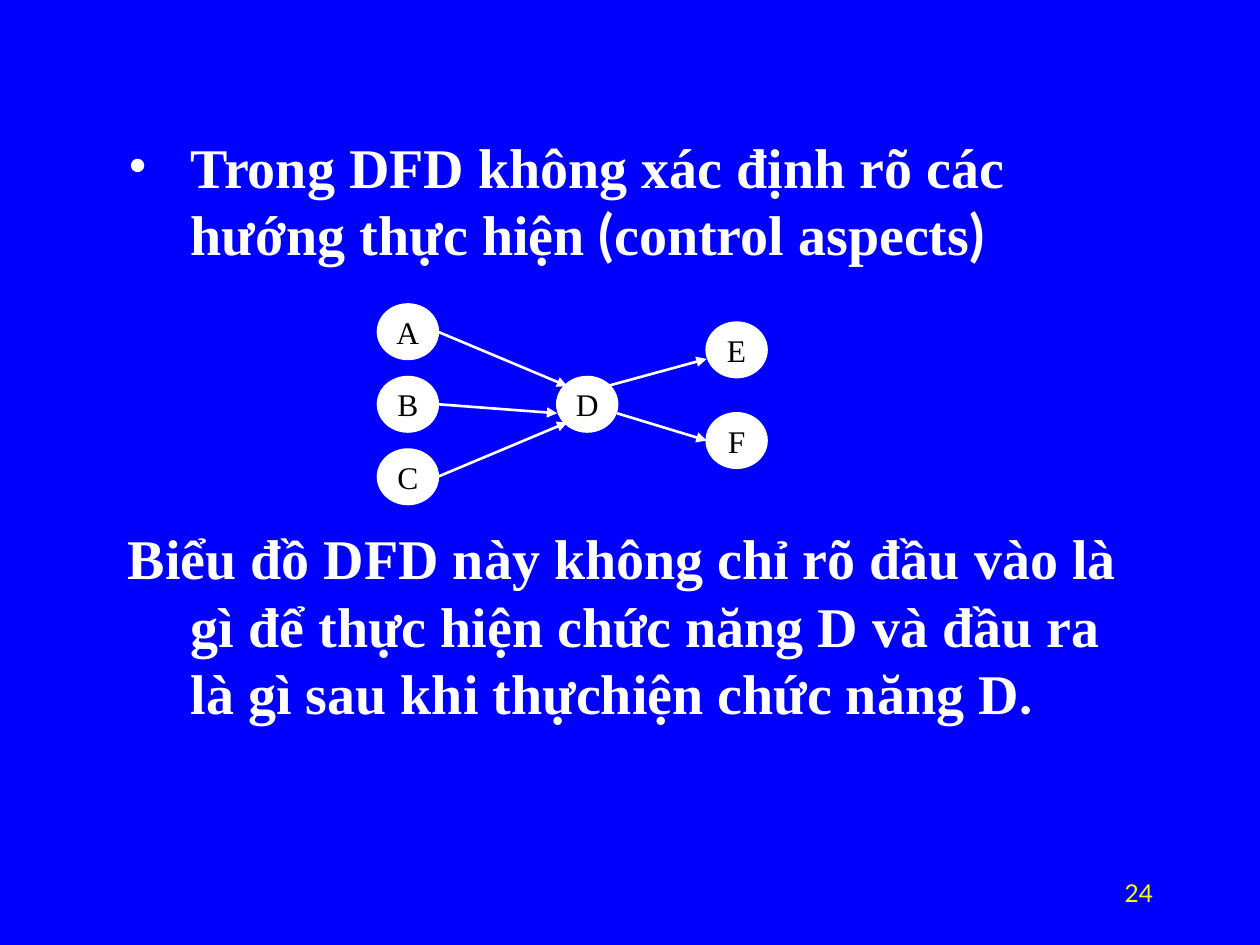
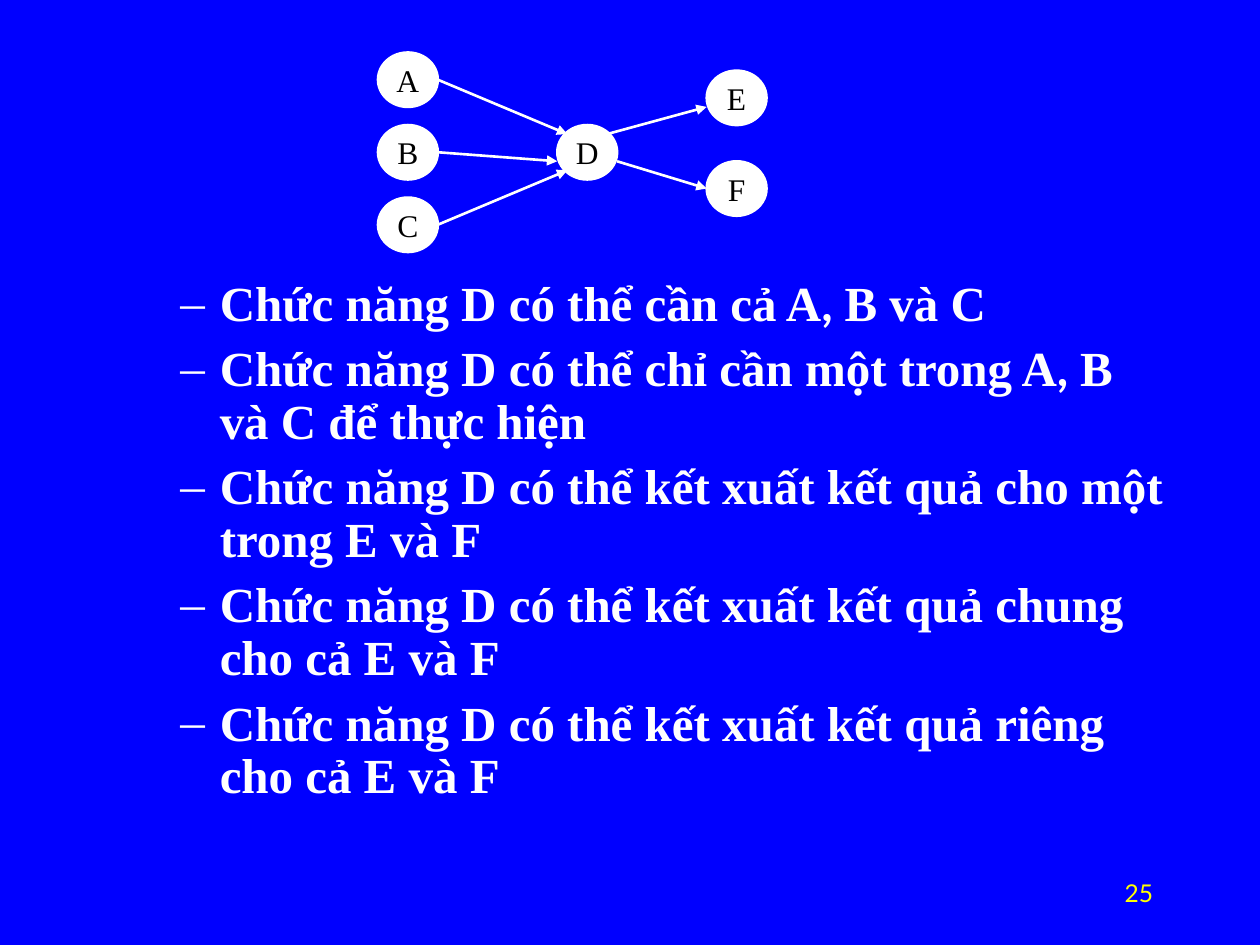
import pptx
import pptx.util
import pptx.dml.color
import pptx.enum.shapes
import pptx.enum.text
import pptx.oxml.ns
import lxml.etree

BLUE = pptx.dml.color.RGBColor(0x00, 0x00, 0xFF)
WHITE = pptx.dml.color.RGBColor(0xFF, 0xFF, 0xFF)
BLACK = pptx.dml.color.RGBColor(0x00, 0x00, 0x00)
YELLOW = pptx.dml.color.RGBColor(0xFF, 0xFF, 0x00)
SERIF, SANS = "Times New Roman", "Lato"
ALIGN = pptx.enum.text.PP_ALIGN

# The slide is a grid of 120 columns and 90 rows of square cells
CELL = pptx.util.Inches(10) // 120
COLUMNS, ROWS = 120, 90
NUMBER_BOX = (86, 83, 25, 4)
DIAGRAM_SIZE = (37, 19)

# The diagram has its own grid of 26 columns and 11 rows
DIAGRAM_COLUMNS, DIAGRAM_ROWS = 26, 11
NODE_COLUMNS, NODE_ROWS = 4, 3
NODES = {"A": (0, 0), "B": (0, 4), "C": (0, 8), "D": (12, 4), "F": (22, 6), "E": (22, 1)}
FLOWS = [
    ((4, 1.5), (12.67, 4.5)),   # A to D
    ((16, 6), (22, 7.5)),       # D to F
    ((4, 5.5), (12, 6)),        # B to D
    ((15.33, 4.5), (22, 3)),    # D to E
    ((4, 9.5), (12.67, 6.5)),   # C to D
]


def cells(*counts):
    return [pptx.util.Emu(round(count * CELL)) for count in counts]


def add_element(parent, tag, **attributes):
    element = lxml.etree.SubElement(parent, pptx.oxml.ns.qn(tag))
    for name, value in attributes.items():
        element.set(name, value)
    return element


def write_text(paragraph, runs, size, color, bold=False, align=None, level=0, indent=None,
               hanging=0, before=None, spacing=None, bullet=None):
    """Write (text, font) runs into a paragraph; indents are in cells."""
    paragraph.level = level
    paragraph.alignment = align
    if spacing is not None:
        paragraph.line_spacing = spacing
    if before is not None:
        paragraph.space_before = pptx.util.Pt(before)
    properties = paragraph._p.get_or_add_pPr()
    if indent is not None:
        left, first = cells(indent, -hanging)
        properties.set("marL", str(left))
        properties.set("indent", str(first))
    if bullet:
        add_element(add_element(properties, "a:buClr"), "a:srgbClr", val=str(color))
        add_element(properties, "a:buFont", typeface=SERIF)
        add_element(properties, "a:buChar", char=bullet)
    for text, font in runs:
        run = paragraph.add_run()
        run.text = text
        run.font.name = font
        run.font.size = pptx.util.Pt(size)
        run.font.bold = bold
        run.font.color.rgb = color


def add_text_box(slide, box, paragraphs, **shared):
    """Each paragraph is a pair of its runs and its own format."""
    frame = slide.shapes.add_textbox(*cells(*box)).text_frame
    frame.word_wrap = True
    for index, (runs, own) in enumerate(paragraphs):
        paragraph = frame.add_paragraph() if index else frame.paragraphs[0]
        write_text(paragraph, runs, **{**shared, **own})


def add_node(group, label, left, top, width, height):
    shape = group.shapes.add_shape(pptx.enum.shapes.MSO_SHAPE.OVAL, left, top, width, height)
    shape.shadow.inherit = False
    shape.fill.solid()
    shape.fill.fore_color.rgb = WHITE
    shape.line.color.rgb = WHITE
    shape.line.width = pptx.util.Pt(1.5)
    shape.text_frame.word_wrap = False
    shape.text_frame.vertical_anchor = pptx.enum.text.MSO_ANCHOR.MIDDLE
    write_text(shape.text_frame.paragraphs[0], [(label, SERIF)], size=18, color=BLACK,
               align=ALIGN.CENTER)


def add_arrow(group, start, end):
    connector = group.shapes.add_connector(pptx.enum.shapes.MSO_CONNECTOR.STRAIGHT, *start, *end)
    connector.line.color.rgb = WHITE
    connector.line.width = pptx.util.Pt(1.5)
    add_element(connector.line._get_or_add_ln(), "a:tailEnd", type="triangle")
    add_element(connector._element.spPr, "a:effectLst")


def add_flow_diagram(slide, box):
    left, top, width, height = box
    column, row = width / DIAGRAM_COLUMNS, height / DIAGRAM_ROWS

    def place(point):
        return cells(left + point[0] * column, top + point[1] * row)

    group = slide.shapes.add_group_shape()
    node_size = cells(NODE_COLUMNS * column, NODE_ROWS * row)
    for label, corner in NODES.items():
        add_node(group, label, *place(corner), *node_size)
    for start, end in FLOWS:
        add_arrow(group, place(start), place(end))


def add_slide(presentation, number, body_box, paragraphs, diagram_top, **body_format):
    """Blue slide with body text, the data flow diagram and a page number."""
    slide = presentation.slides.add_slide(presentation.slide_layouts[6])
    slide.background.fill.solid()
    slide.background.fill.fore_color.rgb = BLUE
    add_text_box(slide, body_box, paragraphs, color=WHITE, bold=True, **body_format)
    add_flow_diagram(slide, (36, diagram_top, *DIAGRAM_SIZE))
    add_text_box(slide, NUMBER_BOX, [([(str(number), SANS)], {})],
                 size=14, color=YELLOW, align=ALIGN.RIGHT)


presentation = pptx.Presentation()
presentation.slide_width, presentation.slide_height = cells(COLUMNS, ROWS)

# Slide 24: the diagram sits in the space before the second paragraph
add_slide(
    presentation, 24, (11, 12, 97, 64),
    [
        ([("Trong DFD không xác định rõ các hướng thực hiện", SERIF), (" (", SANS),
          ("control aspects", SERIF), (")", SANS)], {"before": 8, "bullet": "•"}),
        ([("Biểu đồ DFD này không chỉ rõ đầu vào là gì để thực hiện chức năng D "
           "và đầu ra là gì sau khi thựchiện chức năng D", SERIF), (".", SANS)],
         {"before": 147}),
    ],
    diagram_top=29, size=32, indent=6, hanging=6)

# Slide 25: what function D may need and produce
SUBJECT = "Chức năng D có thể "
add_slide(
    presentation, 25, (10, 26, 102, 54),
    [([(SUBJECT + runs[0], SERIF), *runs[1:]], {}) for runs in [
        ["cần cả A", (", ", SANS), ("B và C", SERIF)],
        ["chỉ cần một trong A", (", ", SANS), ("B và C để thực hiện", SERIF)],
        ["kết xuất kết quả cho một trong E và F"],
        ["kết xuất kết quả chung cho cả E và F"],
        ["kết xuất kết quả riêng cho cả E và F"],
    ]],
    diagram_top=5, size=28, level=1, indent=9.75, hanging=3.75, before=7, spacing=0.9,
    bullet="–")

presentation.save("out.pptx")
